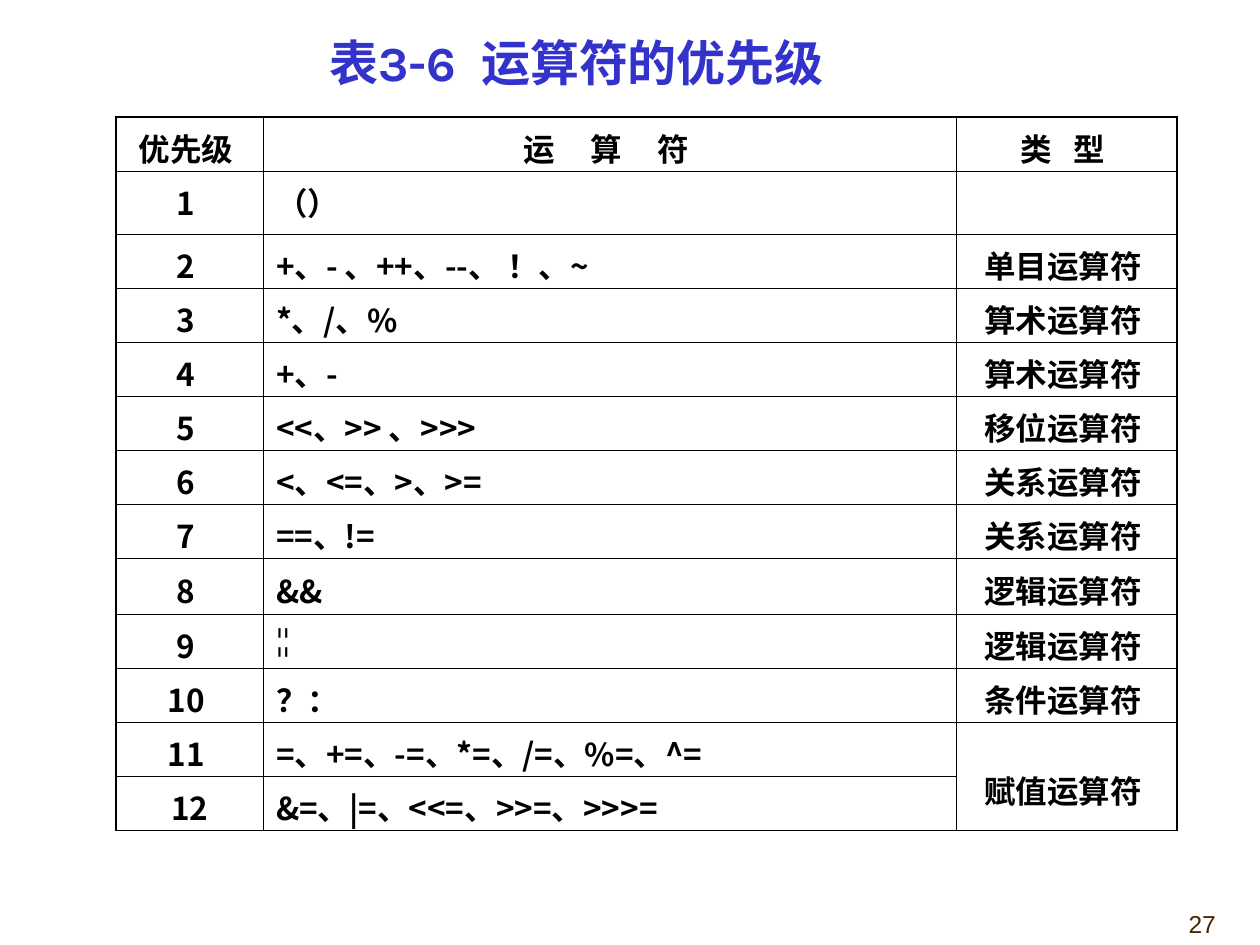
import pptx
import pptx.dml.color
import pptx.enum.text
import pptx.oxml.ns
import pptx.util
from lxml import etree

Cm, Pt = pptx.util.Cm, pptx.util.Pt
ALIGN = pptx.enum.text.PP_ALIGN
ANCHOR = pptx.enum.text.MSO_ANCHOR
qn = pptx.oxml.ns.qn

HEADINGS = ("优先级 ", "运     算     符 ", "类   型 ")
OPERATORS = [
    ("（）", ""),
    ("+、- 、++、--、 ！、~", "单目运算符 "),
    ("*、/、%", "算术运算符 "),
    ("+、-", "算术运算符 "),
    ("<<、>> 、>>>", "移位运算符 "),
    ("<、<=、>、>=", "关系运算符 "),
    ("==、!=", "关系运算符 "),
    ("&&", "逻辑运算符 "),
    ("¦¦", "逻辑运算符 "),
    ("？：", "条件运算符 "),
    ("=、+=、-=、*=、/=、%=、^=", "赋值运算符 "),
    ("&=、|=、<<=、>>=、>>>=", ""),
]


def color(hex_string):
    return pptx.dml.color.RGBColor.from_string(hex_string)


def write(frame, text, *, size=18, font="Noto Sans CJK SC", ink="000000",
          bold=False, align=ALIGN.LEFT, spacing=1.0):
    paragraph = frame.paragraphs[0]
    paragraph.alignment = align
    paragraph.line_spacing = spacing
    run = paragraph.add_run()
    run.text = text
    run.font.size = Pt(size)
    run.font.name = font
    run.font.bold = bold
    run.font.color.rgb = color(ink)
    east_asian = etree.SubElement(run.font._element, qn("a:ea"))
    east_asian.set("typeface", "Noto Sans CJK SC")


class PriorityDeck:
    title_ink, number_ink, rule_ink, paper = "3333CC", "482400", "000000", "FFFFFF"
    outer_rule, inner_rule = 1.08, 0.45

    def __init__(self):
        self.presentation = pptx.Presentation()
        self.presentation.slide_width = Cm(25.4)
        self.presentation.slide_height = Cm(19.05)
        self.slide = self.presentation.slides.add_slide(
            self.presentation.slide_layouts[5])

    def title(self, text, left, top, width, height):
        heading = self.slide.shapes.title
        heading.left, heading.top = Cm(left), Cm(top)
        heading.width, heading.height = Cm(width), Cm(height)
        frame = heading.text_frame
        frame.auto_size = pptx.enum.text.MSO_AUTO_SIZE.NONE
        frame.vertical_anchor = ANCHOR.BOTTOM
        write(frame, text, size=28, font="Karla", ink=self.title_ink, bold=True)

    def page_number(self, text, left, top, width, height):
        box = self.slide.shapes.add_textbox(Cm(left), Cm(top), Cm(width), Cm(height))
        box.text_frame.word_wrap = True
        box.text_frame.vertical_anchor = ANCHOR.BOTTOM
        write(box.text_frame, text, size=14, font="Arial",
              ink=self.number_ink, align=ALIGN.RIGHT)

    def rule_cell(self, cell, outer_sides):
        properties = cell._tc.get_or_add_tcPr()
        for index, side in enumerate("LRTB"):
            weight = self.outer_rule if side in outer_sides else self.inner_rule
            line = etree.Element(qn(f"a:ln{side}"), w=str(Pt(weight)))
            fill = etree.SubElement(line, qn("a:solidFill"))
            etree.SubElement(fill, qn("a:srgbClr"), val=self.rule_ink)
            properties.insert(index, line)

    def table(self, rows, left, top, widths, heights):
        last_row, last_column = len(rows) - 1, len(widths) - 1
        grid = self.slide.shapes.add_table(
            len(rows), len(widths), Cm(left), Cm(top),
            Cm(sum(widths)), Cm(sum(heights))).table
        for column, width in zip(grid.columns, widths):
            column.width = Cm(width)
        for row, height in zip(grid.rows, heights):
            row.height = Cm(height)

        # The last two priorities share one type
        grid.cell(last_row - 1, last_column).merge(grid.cell(last_row, last_column))

        for r, texts in enumerate(rows):
            for c, text in enumerate(texts):
                cell = grid.cell(r, c)
                cell.margin_top, cell.margin_bottom = Cm(0.16), 0
                cell.fill.solid()
                cell.fill.fore_color.rgb = color(self.paper)
                edges = {"L": c == 0, "R": c == last_column,
                         "T": r == 0, "B": r == last_row}
                if cell.is_merge_origin:
                    edges["B"] = True
                self.rule_cell(cell, [side for side, outer in edges.items() if outer])
                if not text:
                    cell.text_frame.paragraphs[0].font.size = Pt(18)
                    continue
                write(cell.text_frame, text, bold=True,
                      font="Times New Roman" if text == "¦¦" else "Noto Sans CJK SC",
                      align=ALIGN.LEFT if c == 1 and r else ALIGN.CENTER,
                      spacing=1.8 if cell.is_merge_origin else 1.0)


def main():
    deck = PriorityDeck()
    deck.page_number("27", 19.48, 17.78, 5.28, 1.27)

    # Heading row, then one numbered row per priority
    rows = [HEADINGS]
    for priority, (operators, kind) in enumerate(OPERATORS, 1):
        label = f"{priority} " if priority < len(OPERATORS) else str(priority)
        rows.append((label, operators, kind))
    heights = [1.09] * len(rows)
    heights[1], heights[8] = 1.27, 1.12
    deck.table(rows, 2.34, 2.36, (2.97, 13.97, 4.45), heights)

    deck.title("表3-6  运算符的优先级", 6.38, 0.51, 13.77, 1.45)
    deck.presentation.save("out.pptx")


if __name__ == "__main__":
    main()
